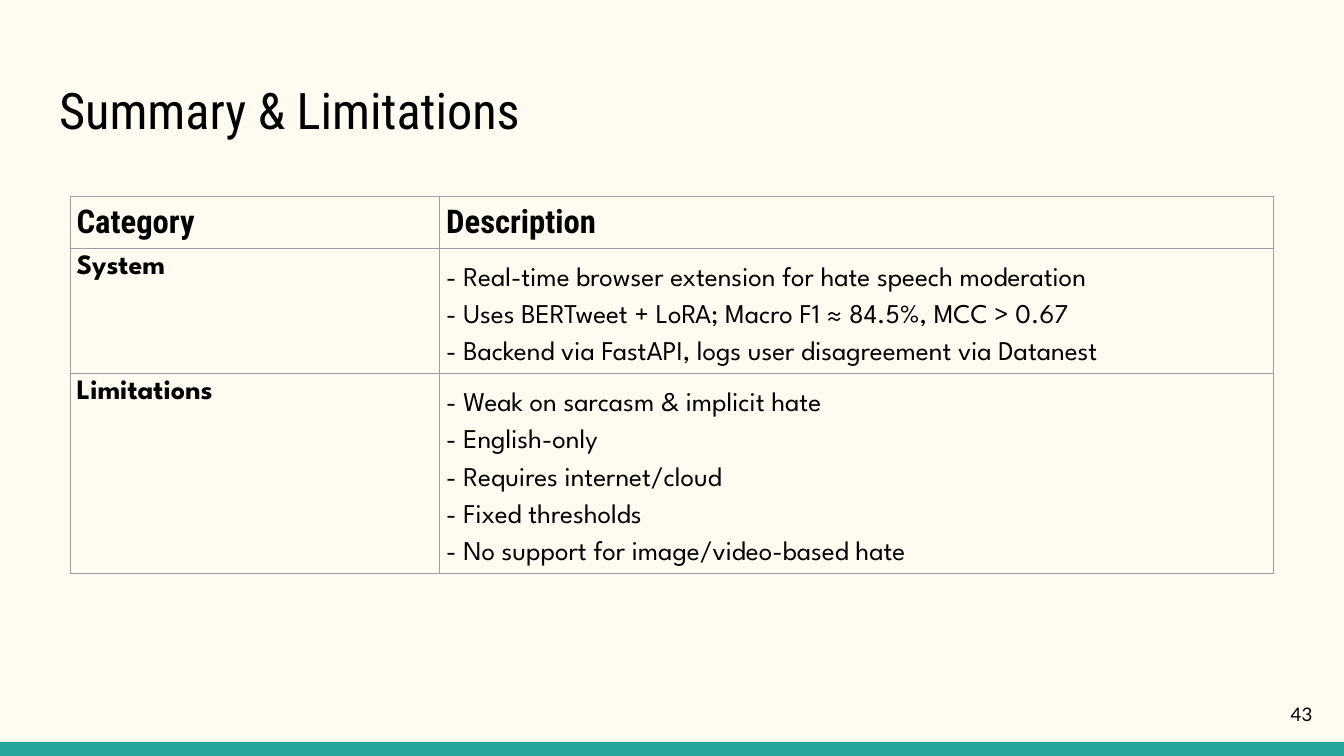
"""Build the Summary & Limitations slide with its two-column table."""
from lxml import etree
from pptx import Presentation
from pptx import util as u
from pptx.dml.color import RGBColor
from pptx.enum import shapes, text
from pptx.oxml import ns

COLORS = {"background": "FFFBF0", "accent": "26A69A", "ink": "000000", "border": "9E9E9E"}
FORMATS = {
    "title": {"name": "Roboto Condensed", "size": u.Pt(54), "bold": False},
    "number": {"name": "Lato", "size": u.Pt(20), "bold": False},
    "header": {"name": "Roboto Condensed", "size": u.Pt(35), "bold": True},
    "category": {"name": "League Spartan", "size": u.Pt(30), "bold": True},
    "description": {"name": "League Spartan", "size": u.Pt(29), "bold": False},
}
MARGINS = ["margin_left", "margin_top", "margin_right", "margin_bottom"]
ROWS = [
    (0.77, "Category", ["Description"]),
    (1.86, "System", [
        "- Real-time browser extension for hate speech moderation",
        "- Uses BERTweet + LoRA; Macro F1 ≈ 84.5%, MCC > 0.67",
        "- Backend via FastAPI, logs user disagreement via Datanest",
    ]),
    (2.98, "Limitations", [
        "- Weak on sarcasm & implicit hate",
        "- English-only",
        "- Requires internet/cloud",
        "- Fixed thresholds",
        "- No support for image/video-based hate",
    ]),
]
COLUMN_WIDTHS = [5.5, 12.41]


def color(name):
    return RGBColor.from_string(COLORS[name])


def set_attributes(target, values):
    for name, value in values.items():
        setattr(target, name, value)


class SlideBuilder:
    def __init__(self, slide):
        self.slide = slide
        fill = slide.background.fill
        fill.solid()
        fill.fore_color.rgb = color("background")

    def add_lines(self, frame, lines, style, **paragraph_format):
        for index, line in enumerate(lines):
            paragraph = frame.add_paragraph() if index else frame.paragraphs[0]
            set_attributes(paragraph, paragraph_format)
            run = paragraph.add_run()
            run.text = line
            set_attributes(run.font, FORMATS[style])
            run.font.color.rgb = color("ink")

    def frame(self, shape, anchor):
        set_attributes(shape.text_frame, {
            **dict.fromkeys(MARGINS, u.Inches(0.2)), "word_wrap": True,
            "vertical_anchor": anchor, "auto_size": text.MSO_AUTO_SIZE.NONE})
        return shape.text_frame

    def bar(self, *box):
        shape = self.slide.shapes.add_shape(shapes.MSO_SHAPE.RECTANGLE, *map(u.Inches, box))
        shape.shadow.inherit = False
        shape.fill.solid()
        shape.fill.fore_color.rgb = color("accent")
        shape.line.fill.background()

    def title(self, words, *box):
        shape = self.slide.shapes.title
        set_attributes(shape, dict(zip(["left", "top", "width", "height"], map(u.Inches, box))))
        frame = self.frame(shape, text.MSO_ANCHOR.TOP)
        self.add_lines(frame, [words], "title", alignment=text.PP_ALIGN.LEFT)

    def page_number(self, words, *box):
        shape = self.slide.shapes.add_textbox(*map(u.Inches, box))
        frame = self.frame(shape, text.MSO_ANCHOR.MIDDLE)
        self.add_lines(frame, [words], "number", alignment=text.PP_ALIGN.RIGHT)

    def format_cell(self, cell):
        set_attributes(cell, dict.fromkeys(MARGINS, u.Inches(0.1)))
        properties = cell._tc.get_or_add_tcPr()
        for side in ["lnL", "lnR", "lnT", "lnB"]:
            line = etree.SubElement(properties, ns.qn(f"a:{side}"), w=str(u.Pt(0.75)))
            fill = etree.SubElement(line, ns.qn("a:solidFill"))
            etree.SubElement(fill, ns.qn("a:srgbClr"), val=COLORS["border"])
        cell.fill.background()

    def table(self, rows, widths, left, top):
        size = [sum(widths), sum(row[0] for row in rows)]
        table = self.slide.shapes.add_table(
            len(rows), len(widths), *map(u.Inches, [left, top, *size])).table
        set_attributes(table, {"first_row": False, "horz_banding": False})
        for column, width in zip(table.columns, widths):
            column.width = u.Inches(width)
        for index, (height, category, lines) in enumerate(rows):
            table.rows[index].height = u.Inches(height)
            styles = ["category", "description"] if index else ["header", "header"]
            spacings = [1.0, 1.5 if index else 1.0]
            cells = table.rows[index].cells
            for cell, words, style, spacing in zip(cells, [[category], lines], styles, spacings):
                self.format_cell(cell)
                self.add_lines(cell.text_frame, words, style, line_spacing=spacing)


def main():
    presentation = Presentation()
    presentation.slide_width = u.Inches(20)
    presentation.slide_height = u.Inches(11.25)
    builder = SlideBuilder(presentation.slides.add_slide(presentation.slide_layouts[5]))
    builder.bar(0, 11.04, 20, 0.21)
    builder.title("Summary & Limitations", 0.68, 0.97, 18.64, 1.34)
    builder.page_number("43", 18.53, 10.2, 1.2, 0.86)
    builder.table(ROWS, COLUMN_WIDTHS, 1.04, 2.92)
    presentation.save("out.pptx")


if __name__ == "__main__":
    main()
